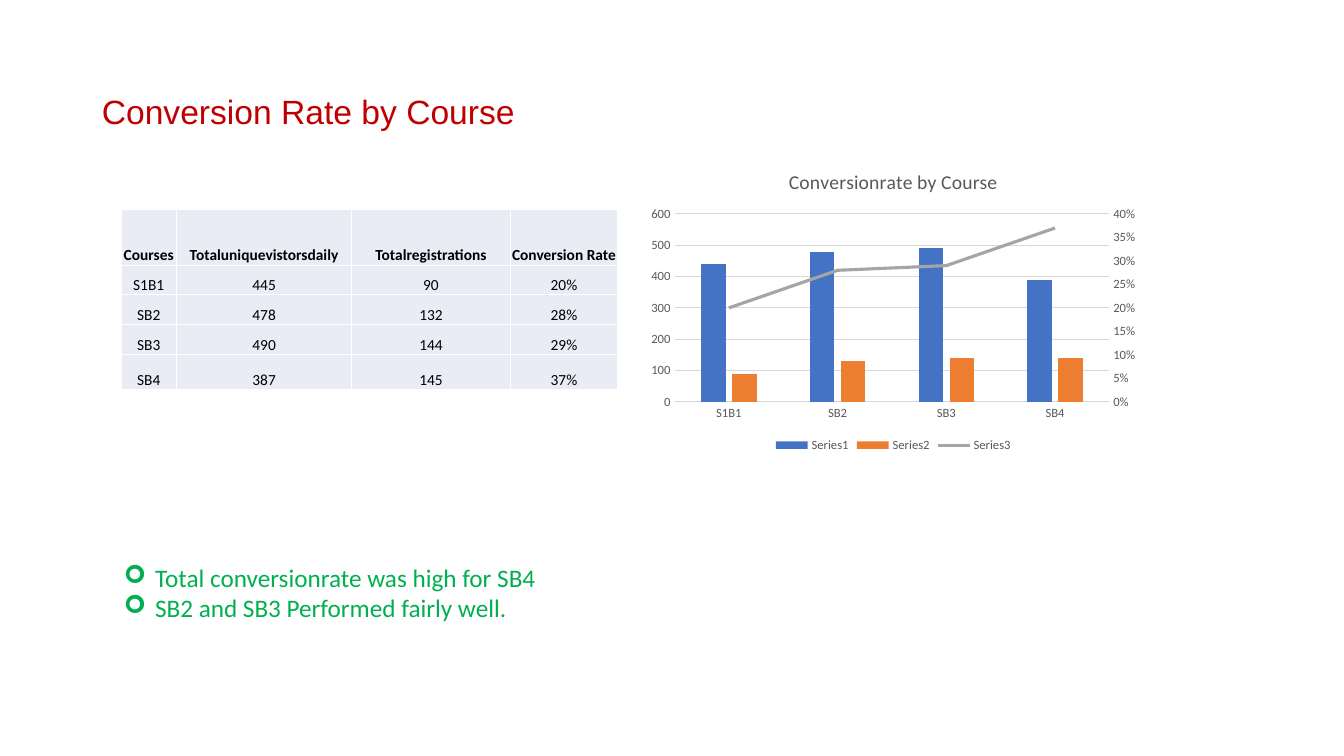
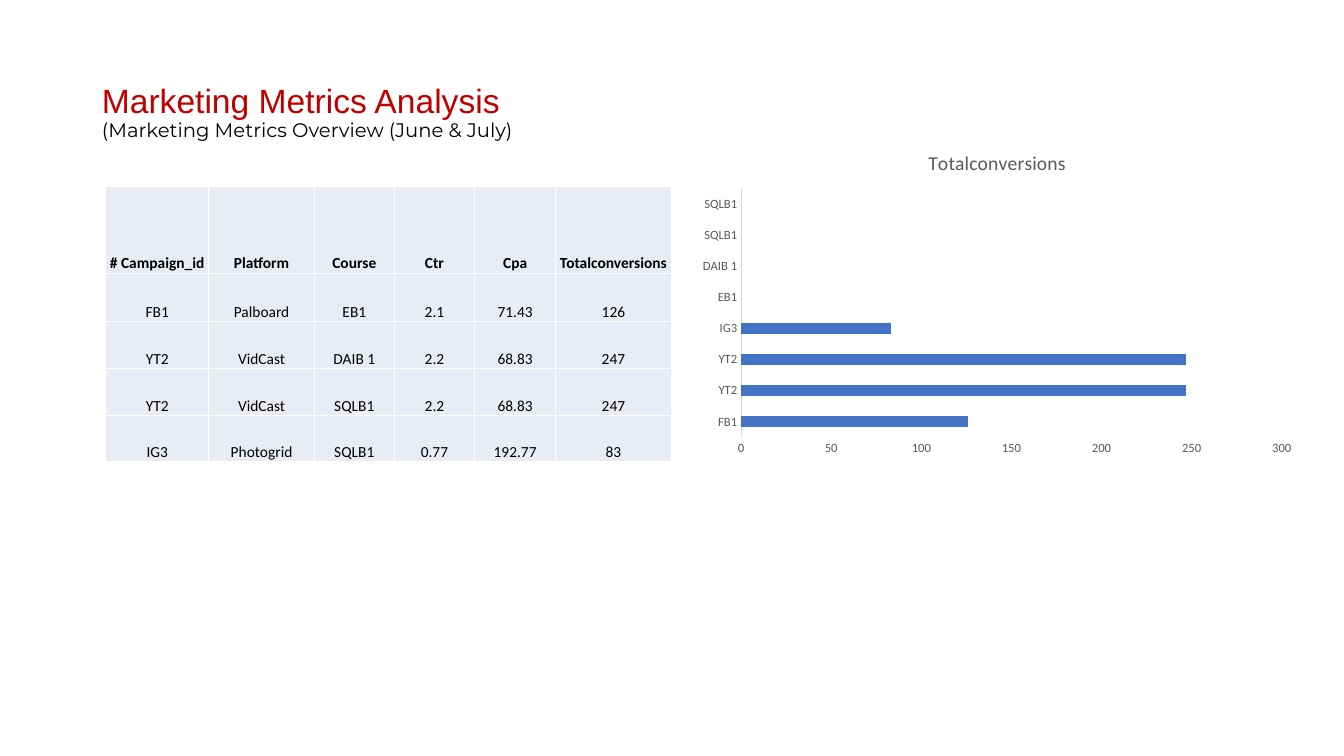
from copy import deepcopy
from dataclasses import dataclass

from pptx import Presentation, oxml, util as u
from pptx.chart.axis import ValueAxis
from pptx.chart.chart import Chart
from pptx.chart.data import CategoryChartData
from pptx.dml.color import RGBColor
from pptx.enum import chart as ch, text as t
from pptx.oxml.ns import nsdecls, qn
from pptx.slide import Slide
from pptx.text.text import TextFrame

# Shared look
RED = RGBColor(0xC0, 0x00, 0x00)
GREEN = RGBColor(0x00, 0xB0, 0x50)
BLACK = RGBColor(0x00, 0x00, 0x00)
CELL_FILL = RGBColor(0xE9, 0xEB, 0xF5)
GREY = RGBColor(0x59, 0x59, 0x59)
RULE_GREY = RGBColor(0xD9, 0xD9, 0xD9)
BLUE = RGBColor(0x44, 0x72, 0xC4)
ORANGE = RGBColor(0xED, 0x7D, 0x31)
LINE_GREY = RGBColor(0xA5, 0xA5, 0xA5)
BODY_FONT = "Calibri"
TITLE_BOX = (91, 40, 1150, 145)
EMU_PER_PX = 9144  # 100 px to the inch


@dataclass(frozen=True)
class Line:
    """One paragraph of text and its format."""
    text: str
    size: int
    color: RGBColor
    font: str = BODY_FONT


@dataclass(frozen=True)
class TableSpec:
    left: int
    top: int
    cols: tuple[int, ...]
    heights: tuple[int, ...]
    rows: tuple[tuple[str, ...], ...]


@dataclass(frozen=True)
class Series:
    name: str
    values: tuple[float | None, ...]
    color: RGBColor


@dataclass(frozen=True)
class ChartSpec:
    box: tuple[int, int, int, int]
    kind: ch.XL_CHART_TYPE
    title: str
    categories: tuple[str, ...]
    series: tuple[Series, ...]
    gap: int
    overlap: int
    maximum: float
    unit: float
    gridlines: bool = False
    legend: bool = False


def px(n: int) -> u.Emu:
    return u.Emu(n * EMU_PER_PX)


def write(tf: TextFrame, text: str, *, size: int, color: RGBColor,
          font: str = BODY_FONT, bold: bool = False,
          align: t.PP_ALIGN = t.PP_ALIGN.LEFT, spacing: float = 1.0):
    """Fill the frame's first empty paragraph, or add one, with a run."""
    p = tf.add_paragraph() if tf.text else tf.paragraphs[0]
    p.alignment, p.line_spacing = align, spacing
    r = p.add_run()
    r.text = text
    r.font.name, r.font.size, r.font.bold = font, u.Pt(size), bold
    r.font.color.rgb = color
    return p


def add_titled_slide(prs: Presentation, *lines: Line) -> Slide:
    s = prs.slides.add_slide(prs.slide_layouts[5])
    sp = s.shapes.title
    sp.left, sp.top, sp.width, sp.height = map(px, TITLE_BOX)
    tf = sp.text_frame
    tf.vertical_anchor = t.MSO_ANCHOR.MIDDLE
    tf.auto_size = t.MSO_AUTO_SIZE.NONE
    for line in lines:
        write(tf, line.text, size=line.size, color=line.color,
              font=line.font, spacing=0.9)
    return s


def add_bullets(s: Slide, box: tuple[int, int, int, int], *lines: Line) -> None:
    tf = s.shapes.add_textbox(*map(px, box)).text_frame
    tf.word_wrap = True
    tf.auto_size = t.MSO_AUTO_SIZE.SHAPE_TO_FIT_TEXT
    for line in lines:
        p = write(tf, line.text, size=line.size, color=line.color, font=line.font)
        ppr = p._p.get_or_add_pPr()
        ppr.set("marL", str(px(31)))
        ppr.set("indent", str(px(-31)))
        for bullet in ('buFont typeface="Wingdings" charset="2"', 'buChar char="➢"'):
            ppr.append(oxml.parse_xml(f'<a:{bullet} {nsdecls("a")}/>'))


def add_table(s: Slide, spec: TableSpec) -> None:
    table = s.shapes.add_table(
        len(spec.rows), len(spec.cols), px(spec.left), px(spec.top),
        px(sum(spec.cols)), px(sum(spec.heights))).table
    table.first_row = table.horz_banding = False
    for column, width in zip(table.columns, spec.cols):
        column.width = px(width)
    for i, (row, height) in enumerate(zip(table.rows, spec.heights)):
        row.height = px(height)
        for cell, value in zip(row.cells, spec.rows[i]):
            cell.margin_left = cell.margin_right = cell.margin_top = px(1)
            cell.margin_bottom = 0
            cell.vertical_anchor = t.MSO_ANCHOR.BOTTOM
            tc_pr = cell._tc.get_or_add_tcPr()
            for side in "LRTB":
                tc_pr.append(oxml.parse_xml(
                    f'<a:ln{side} {nsdecls("a")} w="{u.Pt(1)}"><a:solidFill>'
                    f'<a:srgbClr val="FFFFFF"/></a:solidFill></a:ln{side}>'))
            cell.fill.solid()
            cell.fill.fore_color.rgb = CELL_FILL
            write(cell.text_frame, value, size=11, color=BLACK, bold=i == 0,
                  align=t.PP_ALIGN.CENTER)


def style_font(font, size: int, color: RGBColor = GREY) -> None:
    font.name, font.size, font.bold = BODY_FONT, u.Pt(size), False
    font.color.rgb = color


def style_axis(axis) -> None:
    axis.major_tick_mark = axis.minor_tick_mark = ch.XL_TICK_MARK.NONE
    style_font(axis.tick_labels.font, 9)


def add_chart(s: Slide, spec: ChartSpec) -> Chart:
    data = CategoryChartData()
    data.categories = spec.categories
    for series in spec.series:
        data.add_series(series.name, series.values)
    chart = s.shapes.add_chart(spec.kind, *map(px, spec.box), data).chart
    style_font(chart.font, 10, BLACK)

    # Title and legend
    chart.has_title = True
    write(chart.chart_title.text_frame, spec.title, size=14, color=GREY,
          align=t.PP_ALIGN.CENTER)
    chart.chart_title.include_in_layout = False
    chart.has_legend = spec.legend
    if spec.legend:
        chart.legend.position = ch.XL_LEGEND_POSITION.BOTTOM
        chart.legend.include_in_layout = False
        style_font(chart.legend.font, 9)

    # Axes
    cat, val = chart.category_axis, chart.value_axis
    style_axis(cat)
    style_axis(val)
    rules = [cat.format.line]
    val.format.line.fill.background()
    val.minimum_scale, val.maximum_scale = 0, spec.maximum
    val.major_unit = spec.unit
    val.has_major_gridlines = spec.gridlines
    if spec.gridlines:
        rules.append(val.major_gridlines.format.line)
    for rule in rules:
        rule.color.rgb, rule.width = RULE_GREY, u.Pt(0.75)

    # Bars
    plot = chart.plots[0]
    plot.vary_by_categories = False
    plot.gap_width, plot.overlap = spec.gap, spec.overlap
    for bars, series in zip(plot.series, spec.series):
        bars.format.fill.solid()
        bars.format.fill.fore_color.rgb = series.color
    return chart


def move_last_series_to_line(chart: Chart, color: RGBColor, maximum: float,
                             unit: float) -> None:
    """Draw the last series as a line against a percent axis on the right."""
    cat_id, val_id = "50010", "50020"
    bar_plot = chart.plots[0]._element
    ser = bar_plot.findall(qn("c:ser"))[-1]
    for tag in ("c:invertIfNegative", "c:spPr"):
        for child in ser.findall(qn(tag)):
            ser.remove(child)
    line_plot = oxml.parse_xml(
        f'<c:lineChart {nsdecls("c")}><c:grouping val="standard"/>'
        f'<c:varyColors val="0"/><c:marker val="1"/>'
        f'<c:axId val="{cat_id}"/><c:axId val="{val_id}"/></c:lineChart>')
    line_plot.insert(2, ser)
    bar_plot.addnext(line_plot)
    line = chart.plots[1].series[0]
    line.smooth = False
    line.marker.style = ch.XL_MARKER_STYLE.NONE
    line.format.line.color.rgb = color
    line.format.line.width = u.Pt(2.25)

    # Right axis and its hidden category axis
    val, cat = chart.value_axis._element, chart.category_axis._element
    right, hidden = deepcopy(val), deepcopy(cat)
    val.addnext(right)
    right.addnext(hidden)
    for axis, own, other in ((right, val_id, cat_id), (hidden, cat_id, val_id)):
        axis.find(qn("c:axId")).set("val", own)
        axis.find(qn("c:crossAx")).set("val", other)
    right.find(qn("c:axPos")).set("val", "r")
    right.find(qn("c:crosses")).set("val", "max")
    ValueAxis(hidden).visible = False
    right_axis = ValueAxis(right)
    right_axis.has_major_gridlines = False
    right_axis.maximum_scale, right_axis.major_unit = maximum, unit
    right_axis.tick_labels.number_format = "0%"
    right_axis.tick_labels.number_format_is_linked = False


# Slide content
COURSES = TableSpec(
    120, 208, (55, 174, 157, 107), (55, 29, 30, 30, 35),
    (("Courses", "Totaluniquevistorsdaily", "Totalregistrations", "Conversion Rate"),
     ("S1B1", "445", "90", "20%"),
     ("SB2", "478", "132", "28%"),
     ("SB3", "490", "144", "29%"),
     ("SB4", "387", "145", "37%")))
COURSE_CHART = ChartSpec(
    (636, 152, 500, 301), ch.XL_CHART_TYPE.COLUMN_CLUSTERED,
    "Conversionrate by Course", ("S1B1", "SB2", "SB3", "SB4"),
    (Series("Series1", (440, 480, 490, 390), BLUE),
     Series("Series2", (90, 130, 140, 140), ORANGE),
     Series("Series3", (0.2, 0.28, 0.29, 0.37), LINE_GREY)),
    gap=219, overlap=-27, maximum=600, unit=100, gridlines=True, legend=True)
CAMPAIGNS = TableSpec(
    105, 185, (102, 105, 79, 80, 80, 115), (86, 48, 47, 46, 46),
    (("# Campaign_id", "Platform", "Course", "Ctr", "Cpa", "Totalconversions"),
     ("FB1", "Palboard", "EB1", "2.1", "71.43", "126"),
     ("YT2", "VidCast", "DAIB 1", "2.2", "68.83", "247"),
     ("YT2", "VidCast", "SQLB1", "2.2", "68.83", "247"),
     ("IG3", "Photogrid", "SQLB1", "0.77", "192.77", "83")))
CAMPAIGN_CHART = ChartSpec(
    (685, 133, 608, 326), ch.XL_CHART_TYPE.BAR_CLUSTERED, "Totalconversions",
    ("FB1", "YT2", "YT2", "IG3", "EB1", "DAIB 1", "SQLB1", "SQLB1"),
    (Series("Series 1", (126, 247, 247, 83, None, None, None, None), BLUE),),
    gap=182, overlap=0, maximum=300, unit=50)


def main() -> None:
    prs = Presentation()
    prs.slide_width, prs.slide_height = px(1333), px(750)

    # Conversion rate by course
    s = add_titled_slide(prs, Line("Conversion Rate by Course", 24, RED, "Arial"))
    add_table(s, COURSES)
    chart = add_chart(s, COURSE_CHART)
    move_last_series_to_line(chart, LINE_GREY, maximum=0.4, unit=0.05)
    add_bullets(s, (113, 553, 692, 71),
                Line("Total conversionrate was high for SB4", 18, GREEN),
                Line("SB2 and SB3 Performed fairly well.", 18, GREEN))

    # Marketing metrics
    s = add_titled_slide(
        prs, Line("Marketing Metrics Analysis", 24, RED, "Arial"),
        Line("(Marketing Metrics Overview (June & July)", 14, BLACK, "Montserrat"))
    add_table(s, CAMPAIGNS)
    add_chart(s, CAMPAIGN_CHART)

    prs.save("out.pptx")


if __name__ == "__main__":
    main()
